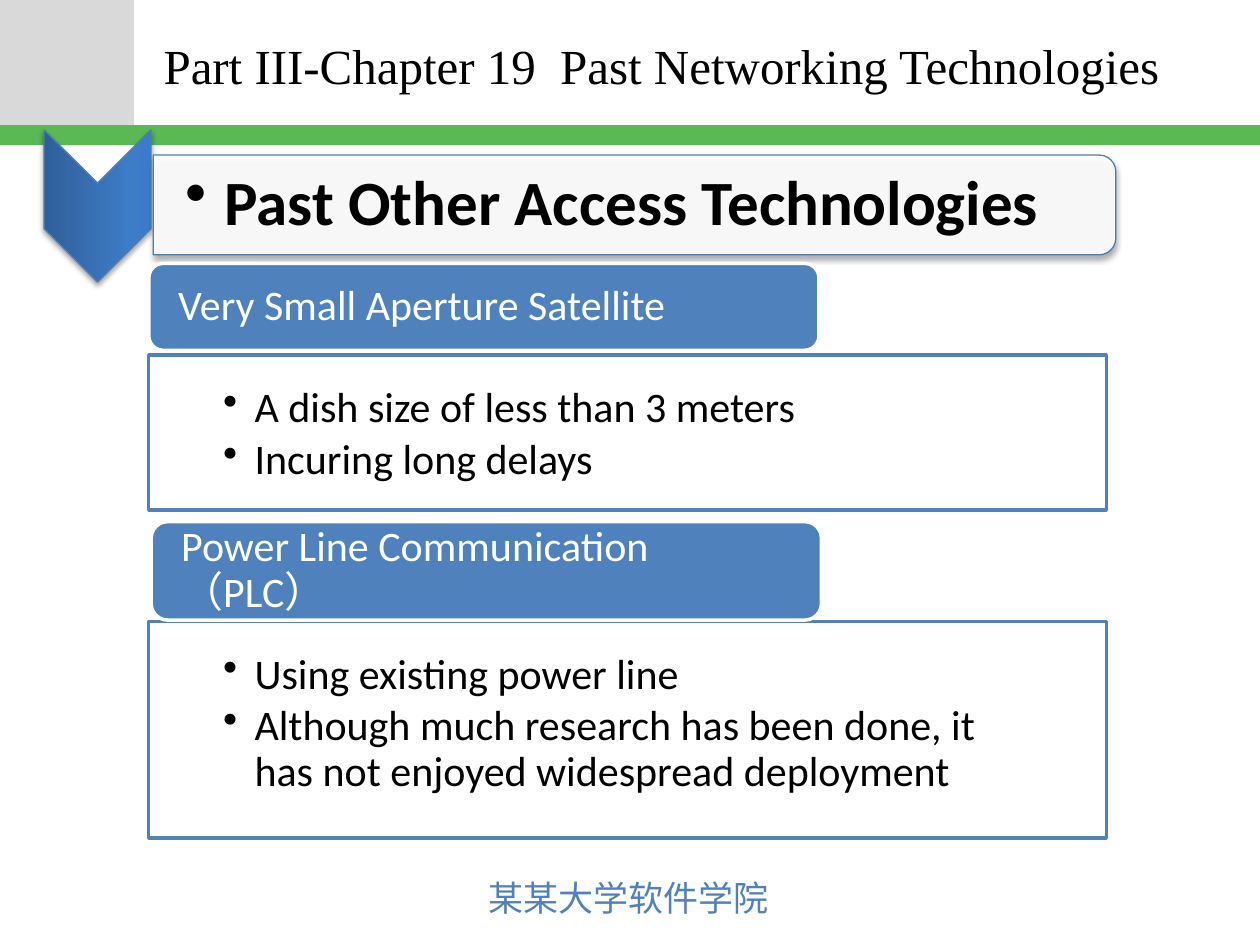
from lxml.etree import SubElement
from pptx import Presentation
from pptx.dml.color import RGBColor
from pptx.enum.shapes import MSO_SHAPE
from pptx.enum.text import MSO_ANCHOR
from pptx.oxml import parse_xml
from pptx.oxml.ns import nsdecls, qn
from pptx.util import Pt

# Content
TITLE = "Part III-Chapter 19  Past Networking Technologies"
HEADING = "Past Other Access Technologies"
FOOTER = "某某大学软件学院"
# Each section: bar text, bar box, panel box, bullets
SECTIONS = [
    ("Very Small Aperture Satellite",
     (85, 150.5, 383, 49.7), (85, 203, 547.2, 88.6),
     ["A dish size of less than 3 meters", "Incuring long delays"]),
    ("Power Line Communication（PLC）",
     (86.4, 298.1, 383, 56.2), (85, 355, 547.2, 123.8),
     ["Using existing power line",
      "Although much research has been done, it has not enjoyed widespread deployment"]),
]
BLUE, EDGE, WHITE, BLACK = "4F81BD", "4B7EBC", "FFFFFF", "000000"
GRADIENT = [(0, "2F5F99"), (80, "3D7CC7"), (100, "3A7CCB")]
BODY, CJK, SERIF = "Calibri", "Noto Sans CJK JP", "Times New Roman"


def rgb(value):
    return RGBColor.from_string(value)


def add_box(kind, box, fill, line=None, weight=0, alpha=None):
    s = slide.shapes.add_shape(kind, *map(Pt, box))
    s.shadow.inherit = False
    s.fill.solid()
    s.fill.fore_color.rgb = rgb(fill)
    if alpha:
        color = s.fill._xPr.find(qn("a:solidFill"))[0]
        SubElement(color, qn("a:alpha"), val=str(alpha * 1000))
    if line:
        s.line.color.rgb = rgb(line)
        s.line.width = Pt(weight)
    else:
        s.line.fill.background()
    return s


def add_text_box(box):
    return slide.shapes.add_textbox(*map(Pt, box))


def add_shadow(s):
    effects = s._element.spPr.find(qn("a:effectLst"))
    effects.append(parse_xml(
        f'<a:outerShdw {nsdecls("a")} blurRad="{Pt(3.1)}" dist="{Pt(1.8)}" dir="5400000" '
        'rotWithShape="0"><a:srgbClr val="000000"><a:alpha val="35000"/></a:srgbClr></a:outerShdw>'))


def set_gradient(s, stops):
    gs = "".join(f'<a:gs pos="{pos * 1000}"><a:srgbClr val="{c}"/></a:gs>' for pos, c in stops)
    solid = s._element.spPr.find(qn("a:solidFill"))
    solid.getparent().replace(solid, parse_xml(
        f'<a:gradFill {nsdecls("a")} rotWithShape="1"><a:gsLst>{gs}</a:gsLst>'
        '<a:lin ang="16200000" scaled="0"/></a:gradFill>'))


def write(s, lines, size, font, color, insets=(7.2, 3.6, 7.2, 3.6), anchor=MSO_ANCHOR.MIDDLE,
          spacing=1.0, after=0, hang=0, bold=False, wrap=True):
    tf = s.text_frame
    tf.word_wrap = wrap
    tf.vertical_anchor = anchor
    tf.margin_left, tf.margin_top, tf.margin_right, tf.margin_bottom = map(Pt, insets)
    for i, line in enumerate(lines):
        p = tf.paragraphs[0] if i == 0 else tf.add_paragraph()
        p.line_spacing = spacing
        p.space_after = Pt(after)
        pPr = p._p.get_or_add_pPr()
        pPr.set("algn", "l")
        if hang:
            pPr.set("marL", str(Pt(hang)))
            pPr.set("indent", str(-Pt(hang)))
            SubElement(pPr, qn("a:buChar"), char="•")
        r = p.add_run()
        r.text = line
        r.font.size = Pt(size)
        r.font.name = font
        r.font.bold = bold
        r.font.color.rgb = rgb(color)
        SubElement(r._r.get_or_add_rPr(), qn("a:ea"), typeface=CJK)


prs = Presentation()
prs.slide_width, prs.slide_height = Pt(720), Pt(540)
slide = prs.slides.add_slide(prs.slide_layouts[6])

# Header band, title and footer
add_box(MSO_SHAPE.RECTANGLE, (0, 0, 76.5, 71.5), "D9D9D9")
add_box(MSO_SHAPE.RECTANGLE, (0, 71.5, 720, 11.5), "5AB953")
write(add_text_box((272, 496.8, 176.4, 31.7)), [FOOTER], 20, CJK, BLUE, wrap=False)
write(add_text_box((86.4, 1.6, 619.2, 70.6)), [TITLE], 28, SERIF, BLACK)

# Chevron and heading panel, both turned a quarter
chevron = add_box(MSO_SHAPE.CHEVRON, (12.2, 87.1, 87.1, 61.2), BLUE, EDGE, 0.75)
set_gradient(chevron, GRADIENT)
panel = add_box(MSO_SHAPE.ROUND_2_SAME_RECTANGLE, (334.1, -157.9, 57, 550), WHITE, EDGE, 0.75, 90)
for s in (chevron, panel):
    s.rotation = 90
    add_shadow(s)
write(add_text_box((87.8, 91.4, 547.2, 51.1)), [HEADING], 36, BODY, BLACK,
      insets=(18, 1.4, 1.4, 1.4), spacing=0.9, hang=22.5, bold=True)

# Sections: bullet panel with a title bar above it
for name, bar_box, panel_box, bullets in SECTIONS:
    s = add_box(MSO_SHAPE.RECTANGLE, panel_box, WHITE, BLUE, 2, 90)
    write(s, bullets, 24, BODY, BLACK, insets=(42.5, 18, 42.5, 13.5),
          anchor=MSO_ANCHOR.TOP, spacing=0.9, after=3.6, hang=18)
    s = add_box(MSO_SHAPE.ROUNDED_RECTANGLE, bar_box, BLUE, WHITE, 2)
    write(s, [name], 24, BODY, WHITE, insets=(14.4, 0, 14.4, 0), spacing=0.9)

prs.save("out.pptx")
